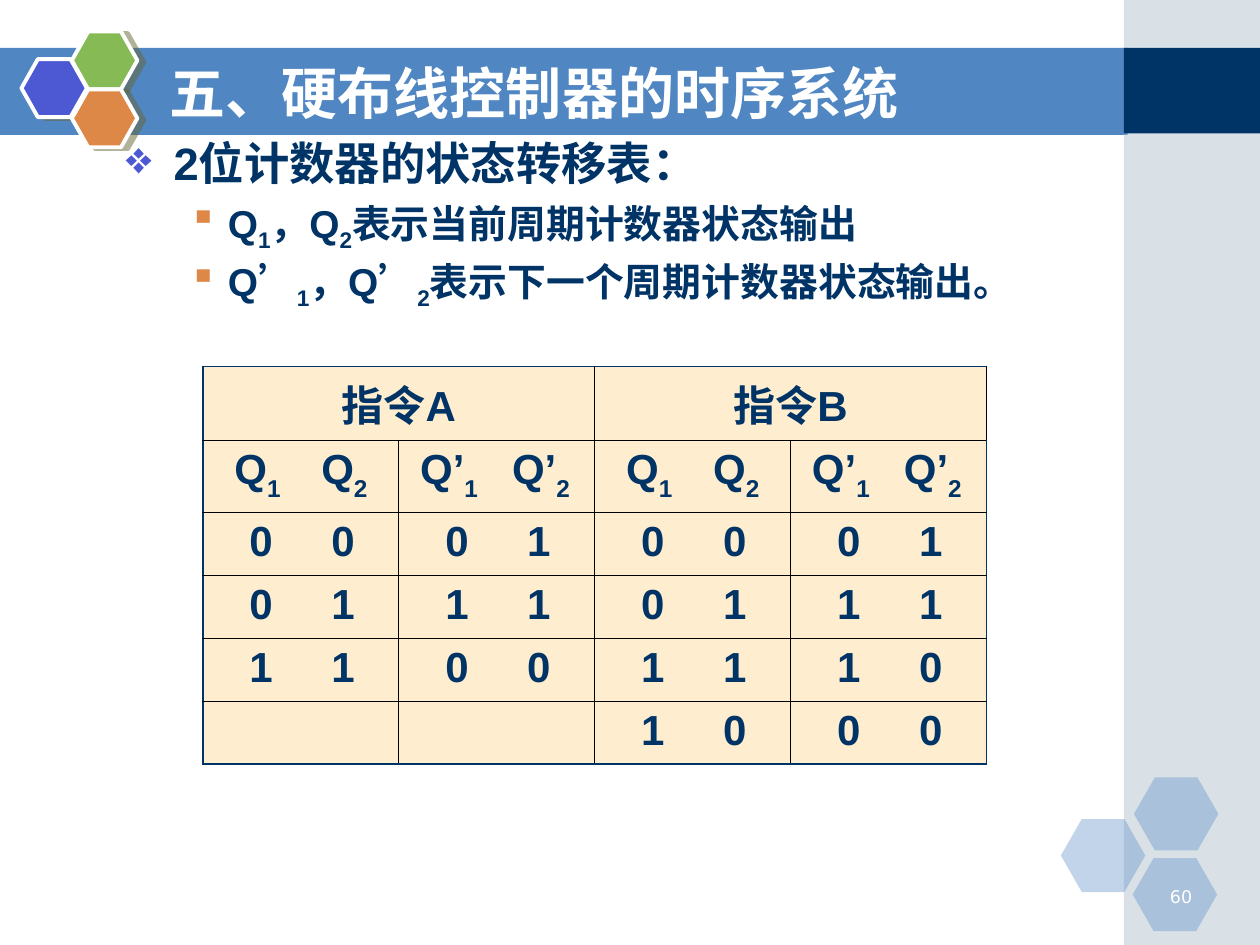
from lxml.etree import SubElement
from pptx import Presentation
from pptx.dml.color import RGBColor
from pptx.enum.shapes import MSO_SHAPE
from pptx.enum.text import MSO_ANCHOR, PP_ALIGN
from pptx.oxml import parse_xml
from pptx.oxml.ns import nsdecls, qn
from pptx.util import Inches, Pt

COLORS = {
    "navy": "003366", "blue": "5086C2", "side": "A0B5C4", "violet": "4C59D2",
    "green": "85BA54", "orange": "DE8848", "shadow": "666633",
    "cell": "FEEDCE", "grid": "000000", "white": "FFFFFF",
}
CJK_FONT = "Noto Sans CJK SC"


class SlideBuilder:
    """Holds the style and the current slide."""

    def __init__(self, slide):
        self.slide = slide
        self.body = {"name": "Arial", "bold": True}

    def color(self, name):
        return RGBColor.from_string(COLORS[name])

    def shape(self, kind, box, fill, alpha=None, adj=None, outlined=False):
        shape = self.slide.shapes.add_shape(kind, *map(Inches, box))
        shape.shadow.inherit = False
        shape.fill.solid()
        shape.fill.fore_color.rgb = self.color(fill)
        if adj:
            shape.adjustments[0] = adj
        if alpha:
            rgb = shape._element.spPr.find(".//" + qn("a:srgbClr"))
            SubElement(rgb, qn("a:alpha"), val=str(alpha * 1000))
        if outlined:
            shape.line.color.rgb = self.color("white")
            shape.line.width = Pt(2.25)
            self.cast_shadow(shape)
        else:
            shape.line.fill.background()

    def cast_shadow(self, shape):
        effects = shape._element.spPr.find(qn("a:effectLst"))
        effects.append(parse_xml(
            f'<a:outerShdw {nsdecls("a")} dist="{Pt(4.1)}" dir="{14 * 60000}" '
            f'algn="ctr" rotWithShape="0"><a:srgbClr val="{COLORS["shadow"]}">'
            '<a:alpha val="50000"/></a:srgbClr></a:outerShdw>'))

    def text_box(self, box, anchor=MSO_ANCHOR.TOP):
        frame = self.slide.shapes.add_textbox(*map(Inches, box)).text_frame
        frame.word_wrap = True
        frame.vertical_anchor = anchor
        return frame

    def add_text(self, paragraph, text, color, base=-25, **font):
        """Add text in which each _ marks the next character as a subscript."""
        head, *tails = text.split("_")
        pieces = [(head, 0)]
        for tail in tails:
            pieces += [(tail[0], base), (tail[1:], 0)]
        for piece, baseline in pieces:
            if not piece:
                continue
            run = paragraph.add_run()
            run.text = piece
            for key, value in font.items():
                setattr(run.font, key, value)
            run.font.color.rgb = self.color(color)
            properties = run._r.get_or_add_rPr()
            properties.find(qn("a:latin")).addnext(parse_xml(
                f'<a:ea {nsdecls("a")} typeface="{CJK_FONT}"/>'))
            if baseline:
                properties.set("baseline", str(baseline * 1000))

    def bullet(self, paragraph, char, color, margin, indent):
        properties = paragraph._p.get_or_add_pPr()
        properties.set("marL", str(Inches(margin)))
        properties.set("indent", str(Inches(-indent)))
        clr = SubElement(properties, qn("a:buClr"))
        SubElement(clr, qn("a:srgbClr"), val=COLORS[color])
        SubElement(properties, qn("a:buChar"), char=char)

    def borders(self, cell, outer_sides):
        properties = cell._tc.get_or_add_tcPr()
        for index, side in enumerate("LRTB"):
            color, width = ("navy", 1.08) if side in outer_sides else ("grid", 0.45)
            properties.insert(index, parse_xml(
                f'<a:ln{side} {nsdecls("a")} w="{Pt(width)}"><a:solidFill>'
                f'<a:srgbClr val="{COLORS[color]}"/></a:solidFill></a:ln{side}>'))

    def cell_text(self, cell, text):
        paragraph = cell.text_frame.paragraphs[0]
        if "\t" in text:
            # Two columns inside the cell: left margin, then a tab stop
            margin, stop = (0.17, 0.73) if "’" in text else (
                (0.25, 0.69) if "Q" in text else (0.37, 0.65))
            cell.margin_left = Inches(margin)
            cell.margin_right = 0
            tabs = SubElement(paragraph._p.get_or_add_pPr(), qn("a:tabLst"))
            SubElement(tabs, qn("a:tab"), pos=str(Inches(stop)), algn="l")
        else:
            paragraph.alignment = PP_ALIGN.CENTER
        self.add_text(paragraph, text, "navy", base=-30, size=Pt(24), **self.body)

    def table(self, box, row_heights, rows):
        last_row, last_col = len(rows) - 1, len(rows[0]) - 1
        table = self.slide.shapes.add_table(
            len(rows), len(rows[0]), *map(Inches, box)).table
        table.first_row = table.horz_banding = False
        for row, height in zip(table.rows, row_heights):
            row.height = Inches(height)
        for r, texts in enumerate(rows):
            for c, text in enumerate(texts):
                cell = table.cell(r, c)
                cell.fill.solid()
                cell.fill.fore_color.rgb = self.color("cell")
                edges = {"L": c == 0, "R": c == last_col,
                         "T": r == 0, "B": r == last_row}
                self.borders(cell, [side for side, outer in edges.items() if outer])
                if text:
                    self.cell_text(cell, text)
        for c in range(0, last_col, 2):
            table.cell(0, c).merge(table.cell(0, c + 1))


def main():
    prs = Presentation()
    prs.slide_width, prs.slide_height = Inches(10), Inches(7.5)
    page = SlideBuilder(prs.slides.add_slide(prs.slide_layouts[6]))

    # Title band and side strip
    page.shape(MSO_SHAPE.RECTANGLE, (-0.01, 0.38, 8.96, 0.69), "blue")
    page.shape(MSO_SHAPE.RECTANGLE, (8.92, 0, 1.08, 7.5), "side", alpha=40)
    page.shape(MSO_SHAPE.RECTANGLE, (8.92, 0.38, 1.08, 0.68), "navy")

    # Hexagon clusters
    for left, top in ((8.42, 6.5), (9, 6.17), (8.99, 6.81)):
        page.shape(MSO_SHAPE.HEXAGON, (left, top, 0.67, 0.58), "blue",
                   alpha=35, adj=0.286)
    for left, top, fill in ((0.17, 0.47, "violet"), (0.57, 0.25, "green"),
                            (0.57, 0.71, "orange")):
        page.shape(MSO_SHAPE.HEXAGON, (left, top, 0.52, 0.46), fill,
                   adj=0.283, outlined=True)

    # State transition table
    states = [
        ("00", "01", "00", "01"),
        ("01", "11", "01", "11"),
        ("11", "00", "11", "10"),
        ("", "", "10", "00"),
    ]
    rows = [("指令A", "", "指令B", ""), ("Q_1\tQ_2", "Q’_1\tQ’_2") * 2]
    rows += [["\t".join(bits) for bits in state] for state in states]
    page.table((1.61, 2.91, 6.22, 3.17), [0.58, 0.57] + [0.5] * 4, rows)

    # Explanation
    points = [
        ("2位计数器的状态转移表：", 25.9, 0, ("❖", "violet", 0.38, 0.38)),
        ("Q_1，Q_2表示当前周期计数器状态输出", 22.2, 6, ("▪", "orange", 0.81, 0.31)),
        ("Q’_1，Q’_2表示下一个周期计数器状态输出。", 22.2, 6,
         ("▪", "orange", 0.81, 0.31)),
    ]
    explanation = page.text_box((0.9, 1.07, 7.88, 1.65))
    for index, (text, size, before, mark) in enumerate(points):
        paragraph = explanation.add_paragraph() if index else explanation.paragraphs[0]
        page.bullet(paragraph, *mark)
        paragraph.line_spacing = 0.9
        paragraph.space_before = Pt(before)
        page.add_text(paragraph, text, "navy", size=Pt(size), **page.body)

    # Title and page number
    title = page.text_box((1.25, 0.42, 7.33, 0.62), MSO_ANCHOR.MIDDLE)
    page.add_text(title.paragraphs[0], "五、硬布线控制器的时序系统", "white",
                  name=CJK_FONT, size=Pt(32), bold=True)
    number = page.text_box((9.06, 6.98, 0.5, 0.25)).paragraphs[0]
    number.alignment = PP_ALIGN.RIGHT
    page.add_text(number, "60", "white", name="DejaVu Sans", size=Pt(10))

    prs.save("out.pptx")


if __name__ == "__main__":
    main()
